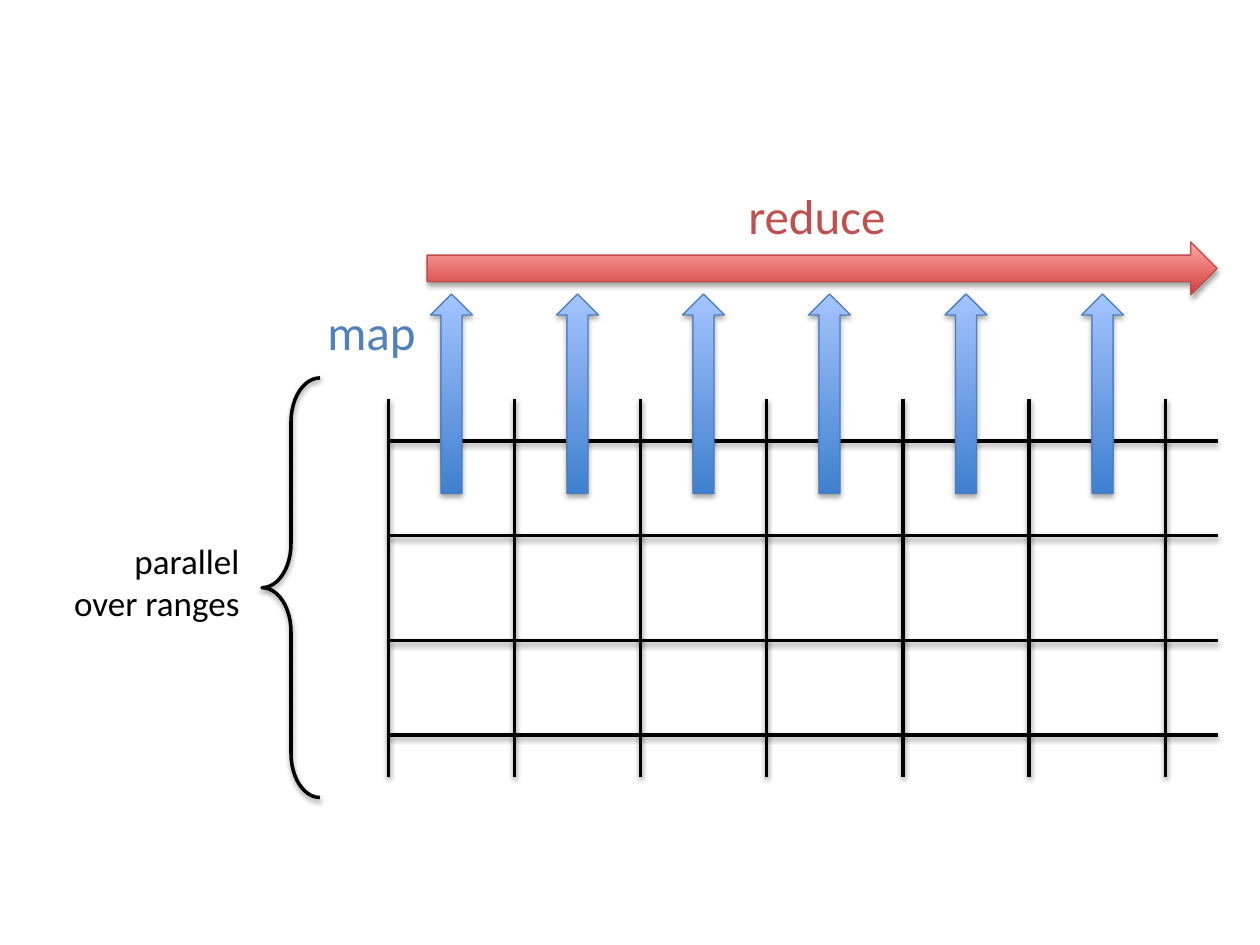
from dataclasses import dataclass

from lxml import etree
from pptx import Presentation
from pptx.dml.color import RGBColor
from pptx.enum.shapes import MSO_CONNECTOR, MSO_SHAPE
from pptx.enum.text import MSO_AUTO_SIZE, PP_ALIGN
from pptx.oxml.ns import qn
from pptx.util import Emu, Inches, Pt

STRAIGHT = MSO_CONNECTOR.STRAIGHT
UP_ARROW, RIGHT_ARROW = MSO_SHAPE.UP_ARROW, MSO_SHAPE.RIGHT_ARROW
LEFT_BRACE = MSO_SHAPE.LEFT_BRACE
FIT_SHAPE = MSO_AUTO_SIZE.SHAPE_TO_FIT_TEXT
LEFT, RIGHT = PP_ALIGN.LEFT, PP_ALIGN.RIGHT

BLACK = RGBColor(0x00, 0x00, 0x00)
MAP_TEXT = RGBColor(0x4F, 0x81, 0xBD)
REDUCE_TEXT = RGBColor(0xC0, 0x50, 0x4D)
FONT = "Calibri"

# Grid lines and map arrows, in twelfths of an inch
UNIT = Inches(1) // 12
ROWS = (42, 51, 61, 70)
COLUMNS = (37, 49, 61, 73, 86, 98, 111)
MAP_CENTRES = (43, 55, 67, 79, 92, 105)
GRID_TOP, GRID_BOTTOM, GRID_RIGHT = 38, 74, 116
MAP_TOP, MAP_WIDTH, MAP_HEIGHT = 28, 4, 19


@dataclass(frozen=True)
class ArrowStyle:
    """Gradient from bottom to top, and outline, of a block arrow."""
    bottom: RGBColor
    top: RGBColor
    outline: RGBColor


@dataclass(frozen=True)
class Label:
    """A text with its box in inches."""
    lines: tuple[str, ...]
    box: tuple[float, float, float, float]
    size: int
    color: RGBColor
    align: PP_ALIGN = LEFT


MAP_STYLE = ArrowStyle(RGBColor(0x3F, 0x80, 0xCE), RGBColor(0xA4, 0xC4, 0xFF),
                       RGBColor(0x4B, 0x7E, 0xBC))
REDUCE_STYLE = ArrowStyle(RGBColor(0xD1, 0x40, 0x3C), RGBColor(0xFF, 0xA6, 0xA5),
                          RGBColor(0xBF, 0x4C, 0x48))
LABELS = (
    Label(("reduce",), (5.84, 1.42, 1.31, 0.57), 28, REDUCE_TEXT),
    Label(("map",), (2.5, 2.34, 0.91, 0.57), 28, MAP_TEXT),
    Label(("parallel", "over ranges"), (0.46, 4.23, 1.54, 0.77), 20, BLACK, RIGHT),
)


def cast_shadow(shape, distance: float, opacity: int) -> None:
    """Give a shape or connector a soft shadow straight below it."""
    effects = etree.SubElement(shape._element.spPr, qn("a:effectLst"))
    shadow = etree.SubElement(effects, qn("a:outerShdw"), blurRad=str(Pt(3.1)),
                              dist=str(Pt(distance)), dir="5400000", rotWithShape="0")
    color = etree.SubElement(shadow, qn("a:srgbClr"), val=str(BLACK))
    etree.SubElement(color, qn("a:alpha"), val=str(opacity * 1000))


def stroke_black(shape) -> None:
    """Draw a shape or connector with a shadowed black line."""
    shape.line.color.rgb = BLACK
    shape.line.width = Pt(2)
    cast_shadow(shape, 1.6, 38)


def add_grid_line(slide, x1: int, y1: int, x2: int, y2: int) -> None:
    """Draw a grid line between two points given in grid units."""
    ends = (Emu(value * UNIT) for value in (x1, y1, x2, y2))
    stroke_black(slide.shapes.add_connector(STRAIGHT, *ends))


def add_block_arrow(slide, kind: MSO_SHAPE, box: tuple[int, ...], style: ArrowStyle) -> None:
    """Draw a gradient block arrow in a box given in EMU."""
    arrow = slide.shapes.add_shape(kind, *box)
    arrow.fill.gradient()
    arrow.fill.gradient_angle = 90
    for stop, color in zip(arrow.fill.gradient_stops, (style.bottom, style.top)):
        stop.color.rgb = color
    arrow.line.color.rgb = style.outline
    arrow.line.width = Pt(0.75)
    cast_shadow(arrow, 1.8, 35)


def add_brace(slide) -> None:
    """Draw the brace that spans the parallel ranges."""
    brace = slide.shapes.add_shape(LEFT_BRACE, *map(Inches, (2.08, 3, 0.46, 3.33)))
    brace.adjustments[0] = 0.761
    brace.fill.background()
    stroke_black(brace)


def add_label(slide, label: Label) -> None:
    """Write a label, one paragraph per line."""
    frame = slide.shapes.add_textbox(*map(Inches, label.box)).text_frame
    frame.word_wrap = False
    frame.auto_size = FIT_SHAPE
    for index, line in enumerate(label.lines):
        paragraph = frame.add_paragraph() if index else frame.paragraphs[0]
        paragraph.alignment = label.align
        run = paragraph.add_run()
        run.text = line
        run.font.name = FONT
        run.font.size = Pt(label.size)
        run.font.color.rgb = label.color


def main() -> None:
    """Build the map and reduce diagram."""
    deck = Presentation()
    deck.slide_width, deck.slide_height = Inches(10), Inches(7.5)
    slide = deck.slides.add_slide(deck.slide_layouts[6])

    for row in ROWS:
        add_grid_line(slide, COLUMNS[0], row, GRID_RIGHT, row)
    for column in COLUMNS:
        add_grid_line(slide, column, GRID_TOP, column, GRID_BOTTOM)
    for centre in MAP_CENTRES:
        cells = (centre - MAP_WIDTH // 2, MAP_TOP, MAP_WIDTH, MAP_HEIGHT)
        add_block_arrow(slide, UP_ARROW, tuple(cell * UNIT for cell in cells), MAP_STYLE)
    reduce_box = tuple(map(Inches, (3.39, 1.92, 6.27, 0.42)))
    add_block_arrow(slide, RIGHT_ARROW, reduce_box, REDUCE_STYLE)
    add_brace(slide)
    for label in LABELS:
        add_label(slide, label)

    deck.save("out.pptx")


main()
